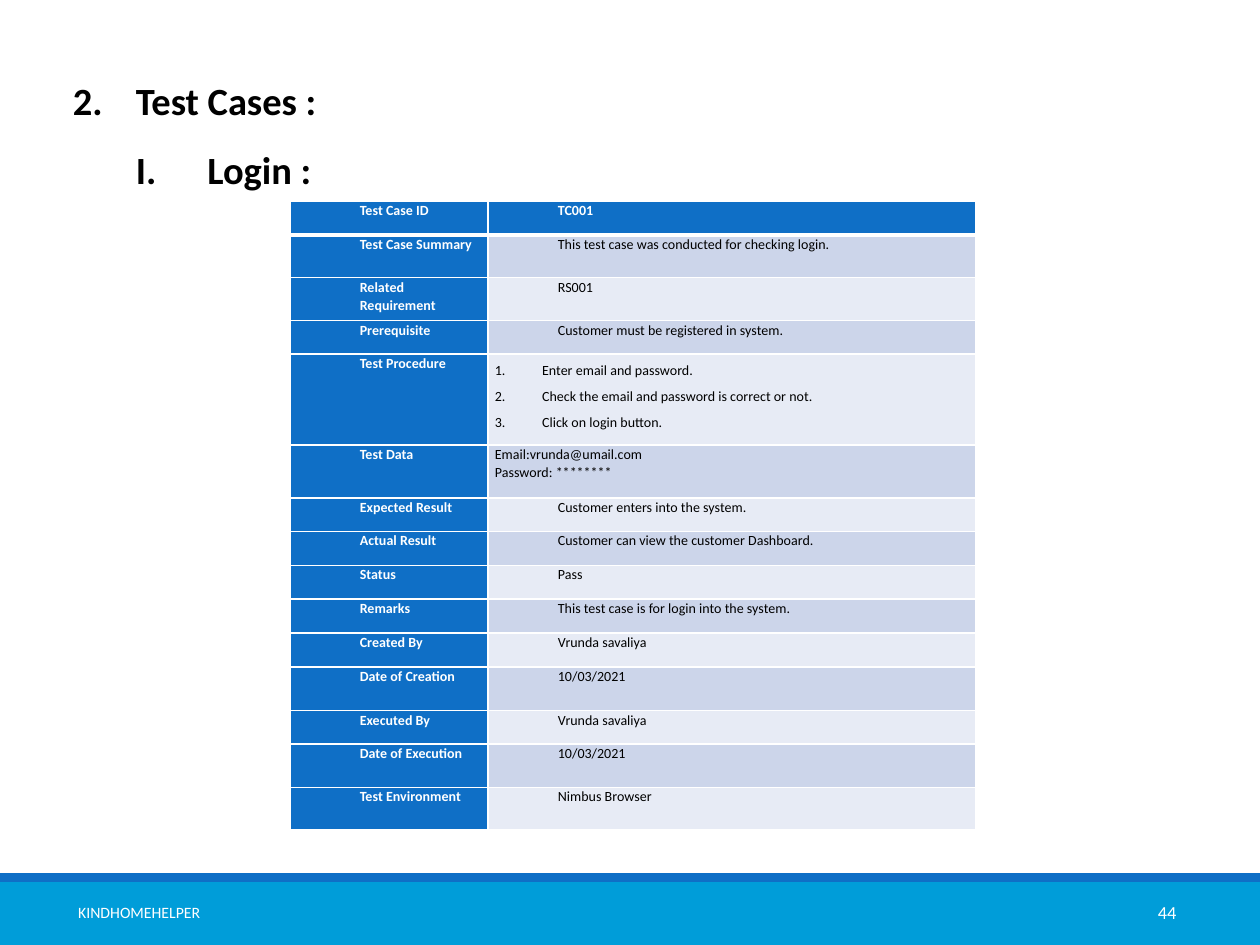
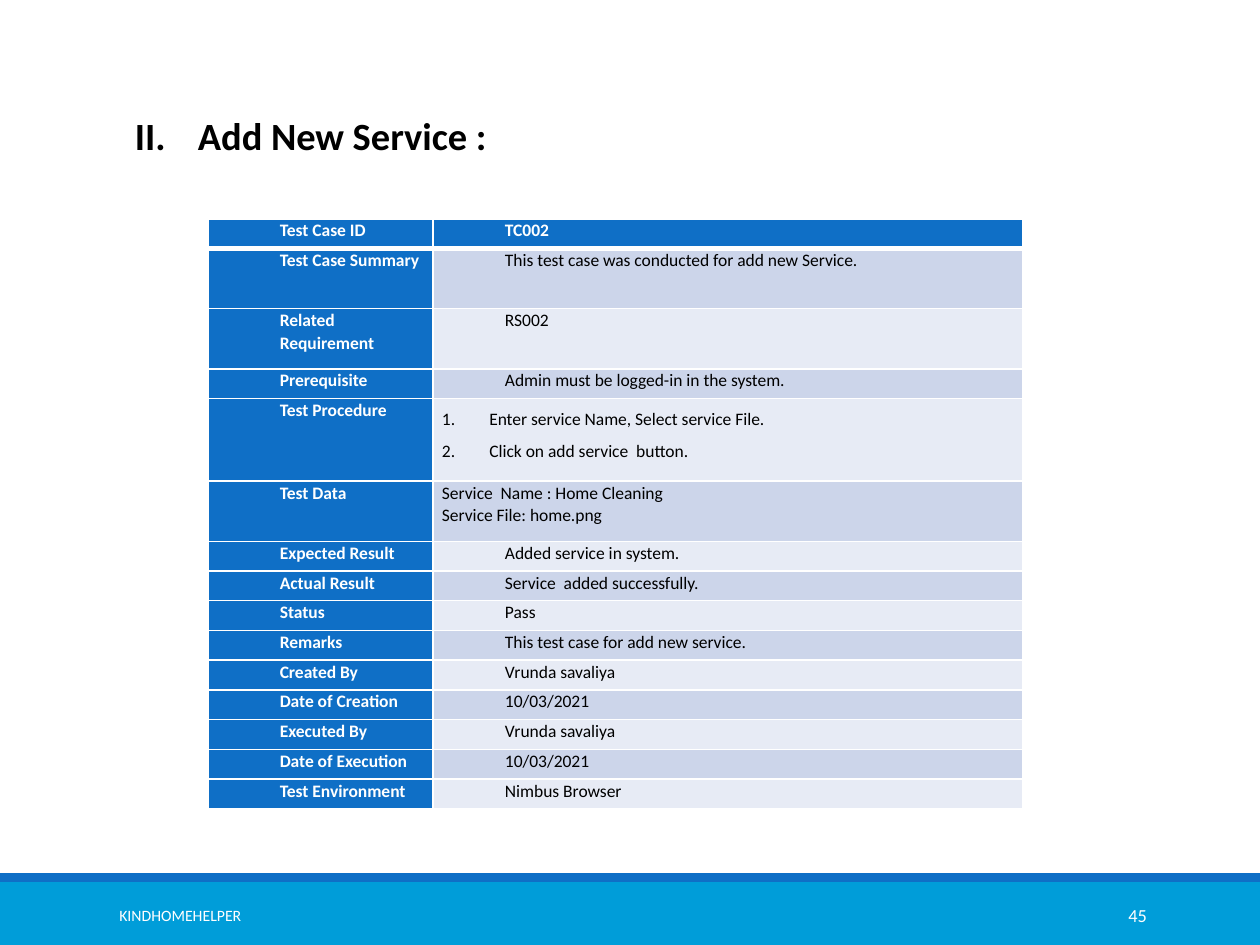
from lxml.etree import SubElement
from pptx import Presentation
from pptx.dml.color import RGBColor
from pptx.enum.shapes import MSO_SHAPE
from pptx.enum.text import MSO_ANCHOR, PP_ALIGN
from pptx.oxml.ns import qn
from pptx.util import Pt

FONT = "Calibri"
COLORS = {
    "footer": "009DD9",
    "accent": "0F6FC6",
    "band_dark": "CCD5EA",
    "band_light": "E7EBF5",
    "white": "FFFFFF",
    "black": "000000",
}
SLIDE_WIDTH, SLIDE_HEIGHT = 720, 540
FOOTER_TOP, STRIPE_HEIGHT = 504, 5
ORGANISATION = "KINDHOMEHELPER"

LABELS = [
    "Test Case ID", "Test Case Summary", "Related Requirement", "Prerequisite",
    "Test Procedure", "Test Data", "Expected Result", "Actual Result", "Status",
    "Remarks", "Created By", "Date of Creation", "Executed By",
    "Date of Execution", "Test Environment",
]
LOGIN_VALUES = [
    "TC001",
    "This test case was conducted for checking login.",
    "RS001",
    "Customer must be registered in system.",
    ["Enter email and password.",
     "Check the email and password is correct or not.",
     "Click on login button."],
    ["Email:vrunda@umail.com", "Password: ********"],
    "Customer enters into the system.",
    "Customer can view the customer Dashboard.",
    "Pass",
    "This test case is for login into the system.",
    "Vrunda savaliya",
    "10/03/2021",
    "Vrunda savaliya",
    "10/03/2021",
    "Nimbus Browser",
]
SERVICE_VALUES = [
    "TC002",
    "This test case was conducted for add new Service.",
    "RS002",
    "Admin must be logged-in in the system.",
    ["Enter service Name, Select service File.",
     "Click on add service  button."],
    ["Service  Name : Home Cleaning", "Service File: home.png"],
    "Added service in system.",
    "Service  added successfully.",
    "Pass",
    "This test case for add new service.",
    "Vrunda savaliya",
    "10/03/2021",
    "Vrunda savaliya",
    "10/03/2021",
    "Nimbus Browser",
]
LOGIN_HEIGHTS = [19.2, 24.5, 24.5, 19, 52, 30.5, 19, 19.4, 19.4, 19.4, 19.4,
                 24.8, 19.2, 24.8, 24.3]
SERVICE_HEIGHTS = [17, 34.4, 34.4, 17, 47.2, 34.4] + [17] * 9


def color(name):
    return RGBColor.from_string(COLORS[name])


# Text
def add_run(paragraph, text, size, color_name, bold=False):
    run = paragraph.add_run()
    run.text = text
    run.font.name = FONT
    run.font.size = Pt(size)
    run.font.bold = bold
    run.font.color.rgb = color(color_name)


def paragraphs_for(frame, lines):
    """Pair each line with its own paragraph."""
    for index, line in enumerate(lines):
        yield (frame.add_paragraph() if index else frame.paragraphs[0]), line


def set_indent(paragraph, left, hanging=0):
    properties = paragraph._p.get_or_add_pPr()
    properties.set("marL", str(Pt(left)))
    properties.set("indent", str(-Pt(hanging)))


def number_paragraph(paragraph, scheme, start=1):
    numbering = SubElement(paragraph._p.get_or_add_pPr(), qn("a:buAutoNum"), type=scheme)
    if start > 1:
        numbering.set("startAt", str(start))


def add_text_box(slide, left, top, width, height):
    frame = slide.shapes.add_textbox(Pt(left), Pt(top), Pt(width), Pt(height)).text_frame
    frame.word_wrap = True
    return frame


def add_headings(slide, left, top, width, height, headings):
    """Each heading is text, level, numbering scheme and first number."""
    frame = add_text_box(slide, left, top, width, height)
    for paragraph, (text, level, scheme, start) in paragraphs_for(frame, headings):
        paragraph.alignment = PP_ALIGN.JUSTIFY
        paragraph.level = level
        paragraph.line_spacing = 1.5
        set_indent(paragraph, 36 * (level + 1), 36)
        number_paragraph(paragraph, scheme, start)
        add_run(paragraph, text, 22, "black", bold=True)


# Footer
def add_band(slide, top, height, color_name):
    band = slide.shapes.add_shape(
        MSO_SHAPE.RECTANGLE, 0, Pt(top), Pt(SLIDE_WIDTH), Pt(height))
    band.shadow.inherit = False
    band.fill.solid()
    band.fill.fore_color.rgb = color(color_name)
    band.line.fill.background()


def add_footer_text(slide, text, left, top, width, size, alignment):
    frame = add_text_box(slide, left, top, width, 29)
    frame.vertical_anchor = MSO_ANCHOR.MIDDLE
    paragraph = frame.paragraphs[0]
    paragraph.alignment = alignment
    add_run(paragraph, text, size, "white")


def add_footer(slide, page, text_top, name_width, page_left, page_alignment):
    add_band(slide, FOOTER_TOP, SLIDE_HEIGHT - FOOTER_TOP, "footer")
    add_band(slide, FOOTER_TOP - STRIPE_HEIGHT, STRIPE_HEIGHT, "accent")
    add_footer_text(slide, ORGANISATION, 0, text_top, name_width, 9, PP_ALIGN.CENTER)
    add_footer_text(slide, page, page_left, text_top, 78, 10.5, page_alignment)


# Test case table
def set_borders(cell, row):
    """White rules, with a heavier one below the header row."""
    widths = {"L": 1, "R": 1, "T": 3 if row == 1 else 1, "B": 3 if row == 0 else 1}
    properties = cell._tc.get_or_add_tcPr()
    for side, width in widths.items():
        rule = SubElement(properties, qn(f"a:ln{side}"), w=str(Pt(width)))
        fill = SubElement(rule, qn("a:solidFill"))
        SubElement(fill, qn("a:srgbClr"), val=COLORS["white"])


def fill_cell(cell, row, content, label, is_heading, size, margin):
    cell.margin_left = cell.margin_right = Pt(margin)
    cell.margin_top = cell.margin_bottom = 0
    set_borders(cell, row)
    cell.fill.solid()
    band = "band_dark" if row % 2 else "band_light"
    cell.fill.fore_color.rgb = color("accent" if is_heading else band)

    is_list = isinstance(content, list)
    is_steps = is_list and label == "Test Procedure"
    lines = content if is_list else [content]
    for paragraph, line in paragraphs_for(cell.text_frame, lines):
        paragraph.alignment = PP_ALIGN.JUSTIFY
        paragraph.line_spacing = 1.5 if is_steps else 1.07
        if is_steps:
            set_indent(paragraph, 27, 27)
            number_paragraph(paragraph, "arabicPeriod")
        elif not is_list:
            set_indent(paragraph, 36)
        add_run(paragraph, line, size, "white" if is_heading else "black", is_heading)


def add_test_case(slide, left, top, widths, heights, values, size, margin):
    table = slide.shapes.add_table(
        len(LABELS), 2, Pt(left), Pt(top), Pt(sum(widths)), Pt(sum(heights))).table
    table.horz_banding = False
    for column, width in zip(table.columns, widths):
        column.width = Pt(width)
    for row, (label, value, height) in enumerate(zip(LABELS, values, heights)):
        table.rows[row].height = Pt(height)
        fill_cell(table.cell(row, 0), row, label, label, True, size, margin)
        fill_cell(table.cell(row, 1), row, value, label, row == 0, size, margin)


def main():
    presentation = Presentation()
    presentation.slide_width = Pt(SLIDE_WIDTH)
    presentation.slide_height = Pt(SLIDE_HEIGHT)
    blank = presentation.slide_layouts[6]

    # Login test case
    login = presentation.slides.add_slide(blank)
    add_footer(login, "44", 507, 159, 628, PP_ALIGN.CENTER)
    add_headings(login, 34.5, 27.4, 652, 87, [
        ("Test Cases :", 0, "arabicPeriod", 2),
        (" Login :", 1, "romanUcPeriod", 1),
    ])
    add_test_case(login, 165.6, 115, (113.2, 279), LOGIN_HEIGHTS, LOGIN_VALUES, 8, 4)

    # New service test case
    service = presentation.slides.add_slide(blank)
    add_footer(service, "45", 508.5, 206, 584.5, PP_ALIGN.RIGHT)
    add_headings(service, 34, 47.5, 652, 47.5, [
        ("Add New Service :", 1, "romanUcPeriod", 2),
    ])
    add_test_case(service, 118.8, 125, (128.7, 337), SERVICE_HEIGHTS, SERVICE_VALUES, 10, 5.1)

    presentation.save("out.pptx")


if __name__ == "__main__":
    main()
